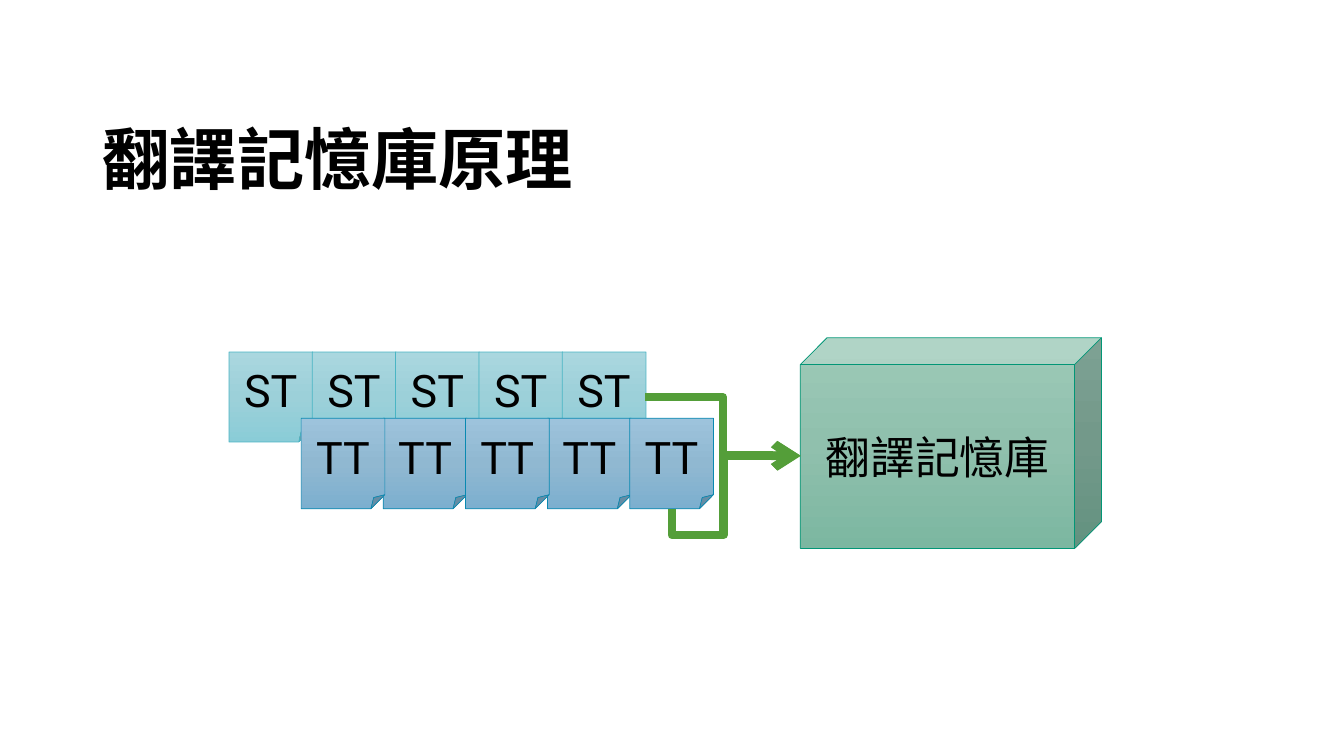
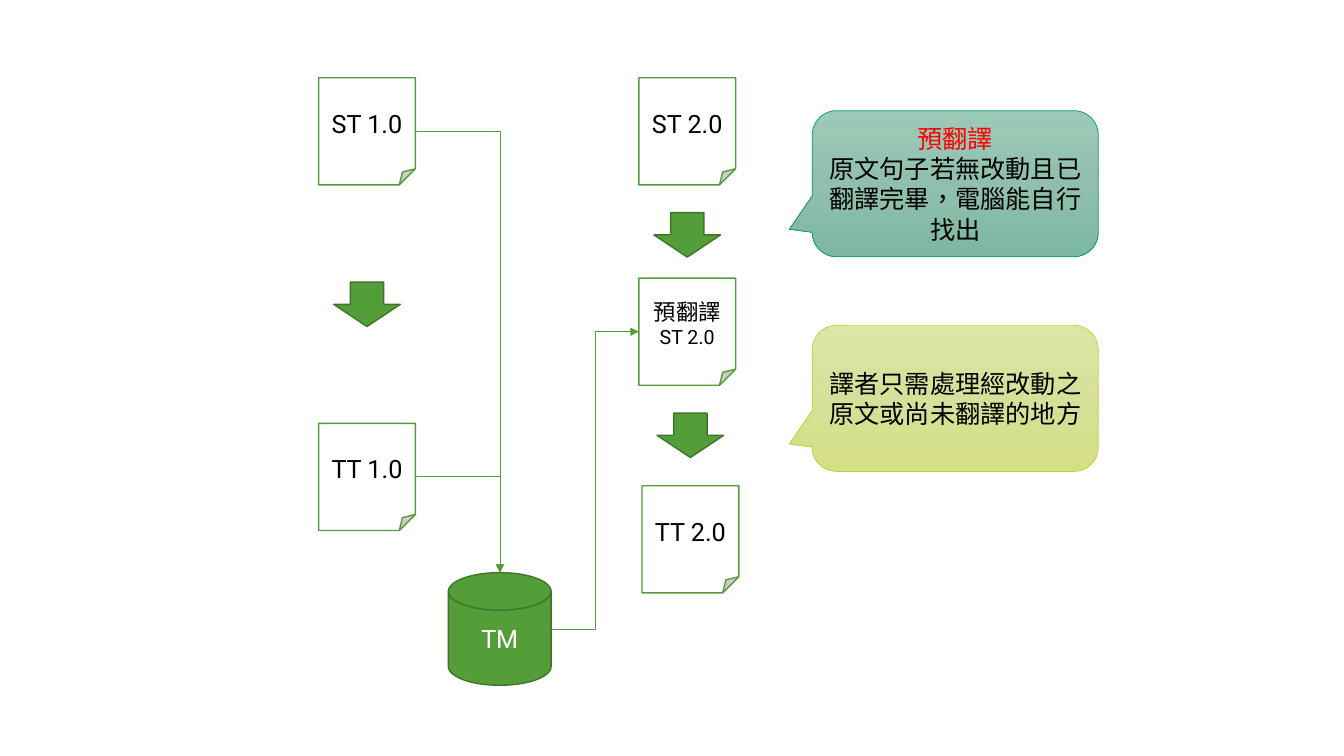
"""Build two slides that explain how a translation memory works."""
from copy import deepcopy
from dataclasses import dataclass

from lxml.etree import SubElement
from pptx import Presentation
from pptx.dml.color import RGBColor
from pptx.enum.lang import MSO_LANGUAGE_ID
from pptx.enum.shapes import MSO_CONNECTOR, MSO_SHAPE
from pptx.enum.text import MSO_ANCHOR, PP_ALIGN
from pptx.oxml.ns import qn
from pptx.slide import Slide
from pptx.text.text import TextFrame
from pptx.util import Cm, Pt

FONT = "Roboto"
COLORS = {
    "black": "000000",
    "white": "FFFFFF",
    "red": "FF0000",
    "green": "549E39",
    "dark_green": "3E752A",
    "teal_line": "029676",
    "aqua_line": "4AB5C4",
    "blue_line": "0989B1",
    "lime_line": "C0CF3A",
}
GRADIENTS = {
    "teal": ("9DCAB8", "90C0AD", "7CB7A1"),
    "aqua": ("AAD7DF", "9CD0D9", "8ACCD7"),
    "blue": ("9DC3DC", "90B8D1", "7CAFCF"),
    "lime": ("DDE6A6", "D7E098", "D4E084"),
}


@dataclass(frozen=True)
class Line:
    text: str
    size: float
    color: str = "black"
    bold: bool = False


@dataclass(frozen=True)
class Style:
    preset: MSO_SHAPE
    width: float
    height: float
    fill: str
    outline: str
    outline_width: float = 0.5
    adjustments: tuple[float, ...] = ()


@dataclass(frozen=True)
class Node:
    style: Style
    left: float
    top: float
    lines: tuple[Line, ...] = ()


@dataclass(frozen=True)
class Link:
    start: tuple[float, float]
    end: tuple[float, float]
    width: float = 0.5
    head: str = "triangle"
    preset: str = "bentConnector3"
    adjustments: tuple[int, ...] = ()
    rotation: int = 0


CUBE = Style(MSO_SHAPE.CUBE, 7.59, 5.31, "teal", "teal_line", adjustments=(0.127,))
SOURCE_PAGE = Style(MSO_SHAPE.FOLDED_CORNER, 2.11, 2.27, "aqua", "aqua_line")
TARGET_PAGE = Style(MSO_SHAPE.FOLDED_CORNER, 2.11, 2.28, "blue", "blue_line")
PAGE = Style(MSO_SHAPE.FOLDED_CORNER, 2.44, 2.7, "white", "green", 1)
DISK = Style(MSO_SHAPE.FLOWCHART_MAGNETIC_DISK, 2.59, 2.84, "green", "dark_green", 1)
ARROW = Style(MSO_SHAPE.DOWN_ARROW, 1.68, 1.12, "green", "dark_green", 1)
CALLOUT_POINT = (-0.58, 0.312, 0.167)
TEAL_CALLOUT = Style(
    MSO_SHAPE.ROUNDED_RECTANGULAR_CALLOUT, 7.21, 3.68, "teal", "teal_line",
    adjustments=CALLOUT_POINT,
)
LIME_CALLOUT = Style(
    MSO_SHAPE.ROUNDED_RECTANGULAR_CALLOUT, 7.21, 3.68, "lime", "lime_line",
    adjustments=CALLOUT_POINT,
)


def rgb(name: str) -> RGBColor:
    return RGBColor.from_string(COLORS[name])


def write_lines(frame: TextFrame, lines: tuple[Line, ...], align: PP_ALIGN) -> None:
    frame.word_wrap = True
    frame.text = "\n".join(line.text for line in lines)
    for paragraph, line in zip(frame.paragraphs, lines):
        paragraph.alignment = align
        for run in paragraph.runs:
            run.font.name = FONT
            run.font.size = Pt(line.size)
            run.font.bold = line.bold
            run.font.color.rgb = rgb(line.color)
            run.font.language_id = MSO_LANGUAGE_ID.TRADITIONAL_CHINESE


def fill_gradient(shape, colors: tuple[str, ...]) -> None:
    shape.fill.gradient()
    shape.fill.gradient_angle = 270
    stop_list = shape._element.spPr.find(qn("a:gradFill")).find(qn("a:gsLst"))
    stop_list.append(deepcopy(stop_list[-1]))
    for index, (stop, color) in enumerate(zip(shape.fill.gradient_stops, colors)):
        stop.position = index / (len(colors) - 1)
        stop.color.rgb = RGBColor.from_string(color)


def add_node(slide: Slide, node: Node) -> None:
    style = node.style
    shape = slide.shapes.add_shape(
        style.preset, Cm(node.left), Cm(node.top), Cm(style.width), Cm(style.height)
    )
    shape.shadow.inherit = False
    for index, value in enumerate(style.adjustments):
        shape.adjustments[index] = value
    if style.fill in GRADIENTS:
        fill_gradient(shape, GRADIENTS[style.fill])
    else:
        shape.fill.solid()
        shape.fill.fore_color.rgb = rgb(style.fill)
    shape.line.color.rgb = rgb(style.outline)
    shape.line.width = Pt(style.outline_width)
    if node.lines:
        shape.text_frame.vertical_anchor = MSO_ANCHOR.MIDDLE
        write_lines(shape.text_frame, node.lines, PP_ALIGN.CENTER)


def add_link(slide: Slide, link: Link) -> None:
    connector = slide.shapes.add_connector(
        MSO_CONNECTOR.ELBOW, *(Cm(value) for value in link.start + link.end)
    )
    connector.line.color.rgb = rgb("green")
    connector.line.width = Pt(link.width)
    properties = connector._element.spPr
    SubElement(properties.find(qn("a:ln")), qn("a:tailEnd"), type=link.head)
    SubElement(properties, qn("a:effectLst"))
    if link.rotation:
        properties.find(qn("a:xfrm")).set("rot", str(link.rotation * 60000))
    geometry = properties.find(qn("a:prstGeom"))
    geometry.set("prst", link.preset)
    for number, value in enumerate(link.adjustments, 1):
        SubElement(
            geometry.find(qn("a:avLst")), qn("a:gd"), name=f"adj{number}", fmla=f"val {value}"
        )


def add_title(slide: Slide, text: str) -> None:
    box = slide.shapes.add_textbox(Cm(2.34), Cm(1.9), Cm(29.18), Cm(3.23))
    box.text_frame.vertical_anchor = MSO_ANCHOR.BOTTOM
    write_lines(box.text_frame, (Line(text, 48, bold=True),), PP_ALIGN.LEFT)
    box.text_frame.paragraphs[0].line_spacing = 0.9


def add_diagram(slide: Slide, nodes: list[Node], links: list[Link]) -> None:
    for node in nodes:
        add_node(slide, node)
    for link in links:
        add_link(slide, link)


def build_principle(slide: Slide) -> None:
    source, target = (Line("ST", 32),), (Line("TT", 32),)
    nodes = [Node(CUBE, 20.17, 8.51, (Line("翻譯記憶庫", 32),))]
    nodes += [Node(SOURCE_PAGE, 5.77 + 2.1 * column, 8.87, source) for column in range(5)]
    nodes += [
        Node(TARGET_PAGE, 7.59 + 2.07 * column, 10.54, target) for column in (1, 0, 3, 2, 4)
    ]
    links = [
        Link((16.26, 10.01), (20.17, 11.48), 6, "arrow"),
        Link((19.23, 13.79), (17.88, 10.54), 6, "arrow", "bentConnector4", (-47500, 40100), 90),
    ]
    add_diagram(slide, nodes, links)
    add_title(slide, "翻譯記憶庫原理")


def build_workflow(slide: Slide) -> None:
    nodes = [
        Node(PAGE, 8.03, 1.96, (Line("ST 1.0", 18),)),
        Node(ARROW, 8.41, 7.11),
        Node(PAGE, 8.03, 10.67, (Line("TT 1.0", 18),)),
        Node(DISK, 11.3, 14.43, (Line("TM", 18, "white"),)),
        Node(PAGE, 16.1, 1.96, (Line("ST 2.0", 18),)),
        Node(ARROW, 16.48, 5.36),
        Node(PAGE, 16.1, 7.01, (Line("預翻譯", 16), Line("ST 2.0", 14))),
        Node(ARROW, 16.56, 10.41),
        Node(PAGE, 16.18, 12.24, (Line("TT 2.0", 18),)),
        Node(TEAL_CALLOUT, 20.47, 2.79, (
            Line("預翻譯", 18, "red"),
            Line("原文句子若無改動且已翻譯完畢，電腦能自行找出", 18),
        )),
        Node(LIME_CALLOUT, 20.47, 8.2, (
            Line("譯者只需處理經改動之原文或尚未翻譯的地方", 18),
        )),
    ]
    links = [
        Link((10.46, top), (12.6, 14.43), preset="bentConnector2") for top in (3.3, 12.01)
    ]
    links.append(Link((13.89, 15.85), (16.1, 8.36)))
    add_diagram(slide, nodes, links)


def main() -> None:
    presentation = Presentation()
    presentation.slide_width = Cm(33.87)
    presentation.slide_height = Cm(19.05)
    for build in (build_principle, build_workflow):
        build(presentation.slides.add_slide(presentation.slide_layouts[6]))
    presentation.save("out.pptx")


if __name__ == "__main__":
    main()
